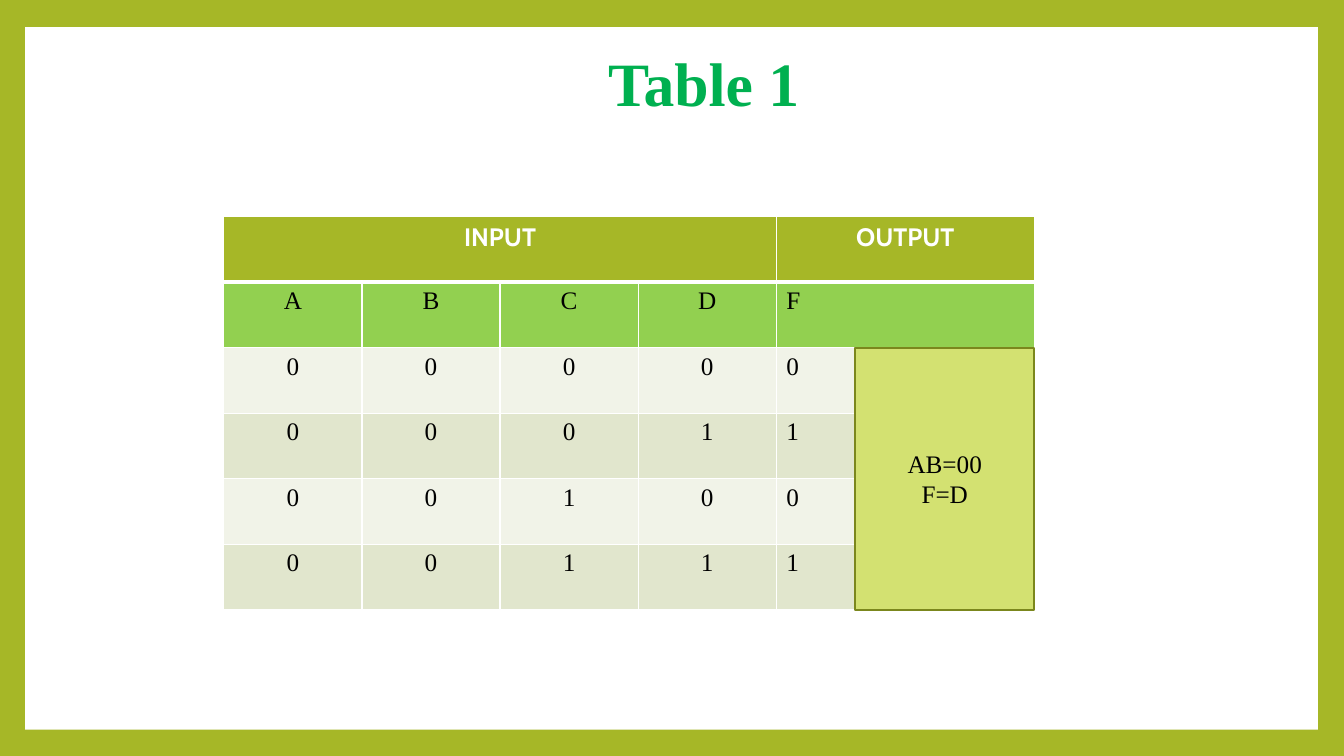
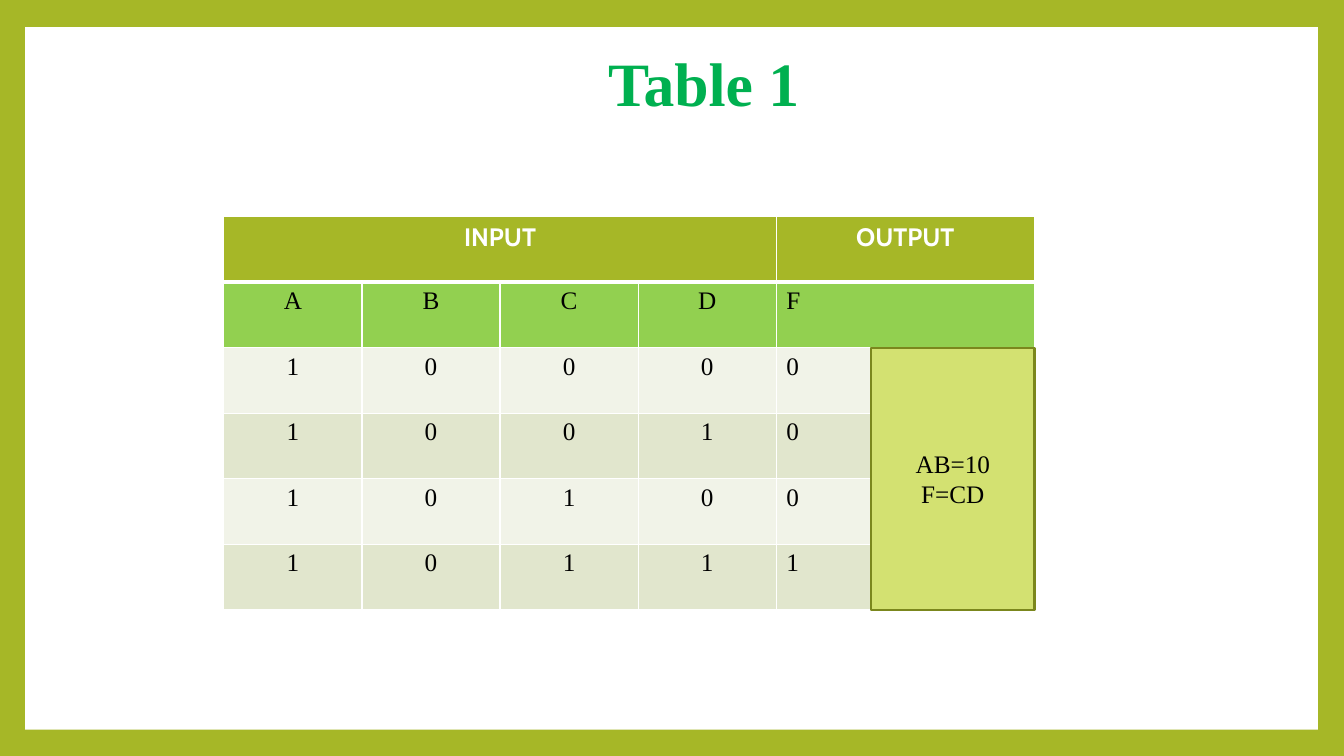
from dataclasses import dataclass
from itertools import product

from lxml.etree import SubElement as Sub
from pptx import Presentation
from pptx.dml.color import RGBColor as RGB
from pptx.enum.shapes import MSO_SHAPE as Shape
from pptx.enum.text import MSO_ANCHOR as Anchor, PP_ALIGN as Align
from pptx.oxml.ns import qn
from pptx.util import Inches, Pt


@dataclass(frozen=True)
class Theme:
    """Colours, fonts and type sizes of the deck."""
    olive: str = "A6B727"
    white: str = "FFFFFF"
    black: str = "000000"
    title: str = "00B050"
    names: str = "92D050"
    bands: tuple = ("F1F3E8", "E1E6CD")
    note: str = "D3E171"
    note_line: str = "7B871D"
    serif: str = "Times New Roman"
    sans: str = "Cabin"
    title_size: int = 44
    body_size: int = 18
    grid_line: float = 1
    header_line: float = 3


T = Theme()
WIDTH, HEIGHT = 13.33, 7.5
LEFT, TOP = 2.22, 2.15
COLS = [1.37] * 4 + [2.56]
ROW = 0.65
RIGHT = LEFT + sum(COLS)
CENTRED = [Align.CENTER] * 4 + [Align.LEFT]


def box(x, y, w, h):
    """Turn a place in inches into slide lengths."""
    return [Inches(v) for v in (x, y, w, h)]


def write(tf, text, color, size=T.body_size, font=T.serif, bold=False, align=Align.CENTER):
    """Set the text of a frame and format all its runs."""
    tf.text = text
    for p in tf.paragraphs:
        p.alignment = align
        for r in p.runs:
            r.font.name, r.font.size, r.font.bold = font, Pt(size), bold
            r.font.color.rgb = RGB.from_string(color)


def add_rect(s, place, fill, line=None):
    """Add a flat rectangle with an optional outline."""
    sp = s.shapes.add_shape(Shape.RECTANGLE, *box(*place))
    sp.shadow.inherit = False
    sp.fill.solid()
    sp.fill.fore_color.rgb = RGB.from_string(fill)
    if line:
        sp.line.color.rgb = RGB.from_string(line)
        sp.line.width = Pt(1.5)
    else:
        sp.line.fill.background()
    return sp


def add_title(s, text):
    """Add the centred slide title."""
    sp = s.shapes.add_textbox(*box(1.54, 0.5, 10.88, 0.72))
    tf = sp.text_frame
    tf.word_wrap = True
    tf.vertical_anchor = Anchor.MIDDLE
    write(tf, text, T.title, T.title_size, bold=True)
    tf.paragraphs[0].line_spacing = 0.9


def style_cell(cell, fill, top, bottom):
    """Give a cell its white borders and then its fill."""
    tc_pr = cell._tc.get_or_add_tcPr()
    edges = {"L": T.grid_line, "R": T.grid_line, "T": top, "B": bottom}
    for side, width in edges.items():
        ln = Sub(tc_pr, qn(f"a:ln{side}"), w=str(Pt(width)))
        Sub(Sub(ln, qn("a:solidFill")), qn("a:srgbClr"), val=T.white)
    cell.fill.solid()
    cell.fill.fore_color.rgb = RGB.from_string(fill)


def add_truth_table(s, rows):
    """Add the table: merged header, variable names and banded values."""
    grid = [["INPUT", "", "", "", "OUTPUT"], list("ABCDF"), *rows]
    fills = [T.olive, T.names] + [T.bands[i % 2] for i in range(len(rows))]
    place = box(LEFT, TOP, sum(COLS), ROW * len(grid))
    table = s.shapes.add_table(len(grid), len(COLS), *place).table
    for col, width in zip(table.columns, COLS):
        col.width = Inches(width)
    for i, values in enumerate(grid):
        table.rows[i].height = Inches(ROW)
        top = T.header_line if i == 1 else T.grid_line
        bottom = T.header_line if i == 0 else T.grid_line
        for j, value in enumerate(values):
            cell = table.cell(i, j)
            style_cell(cell, fills[i], top, bottom)
            if i == 0:
                write(cell.text_frame, value, T.white, font=T.sans, bold=True)
            else:
                write(cell.text_frame, str(value), T.black, align=CENTRED[j])
    table.cell(0, 0).merge(table.cell(0, 3))


def add_note(s, text, width, rows):
    """Cover the right end of the value rows with the resulting rule."""
    place = (RIGHT - width, TOP + 2 * ROW, width, rows * ROW)
    tf = add_rect(s, place, T.note, T.note_line).text_frame
    tf.word_wrap = True
    tf.vertical_anchor = Anchor.MIDDLE
    write(tf, text, T.black)


def add_truth_slide(prs, a, b, rule, output, note_width):
    """Add one slide for fixed A and B, with F worked out from C and D."""
    s = prs.slides.add_slide(prs.slide_layouts[6])
    s.background.fill.solid()
    s.background.fill.fore_color.rgb = RGB.from_string(T.olive)
    add_rect(s, (0.25, 0.27, 12.82, 6.97), T.white)
    add_title(s, "Table 1")
    rows = [(a, b, c, d, output(c, d)) for c, d in product((0, 1), repeat=2)]
    add_truth_table(s, rows)
    add_note(s, f"AB={a}{b}\nF={rule}", note_width, len(rows))


def main():
    """Build and save the deck."""
    prs = Presentation()
    prs.slide_width, prs.slide_height = Inches(WIDTH), Inches(HEIGHT)
    add_truth_slide(prs, 0, 0, "D", lambda c, d: d, 1.78)
    add_truth_slide(prs, 1, 0, "CD", lambda c, d: c & d, 1.62)
    prs.save("out.pptx")


main()
